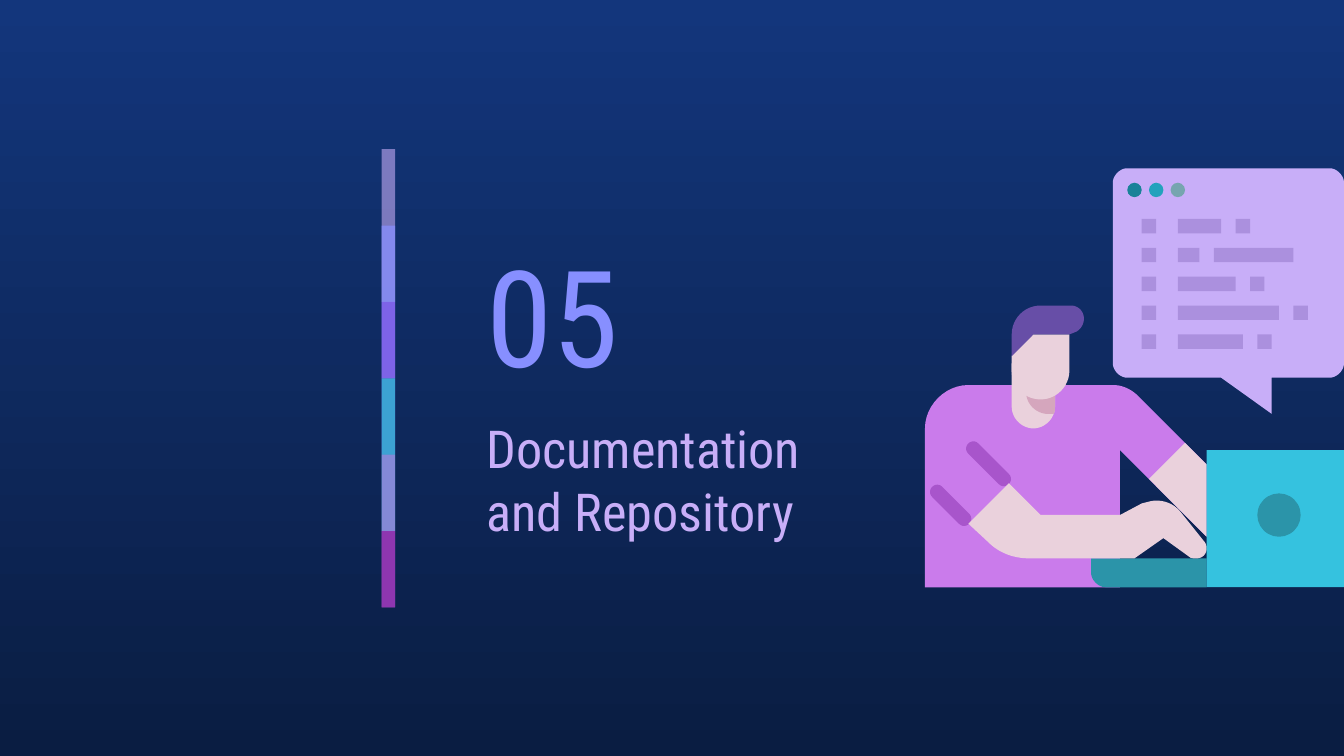
from dataclasses import dataclass

from lxml import etree
from pptx import Presentation, util as u
from pptx.dml.color import RGBColor
from pptx.enum import shapes, text
from pptx.oxml.ns import qn

W = 10
H = W * 9 / 16
CELL = 0.1075
LEFT, TOP = W - 29 * CELL, 4.37 - 29 * CELL
FONT = "Roboto Condensed"
C = {
    "sky": "13367C", "night": "0A1D42", "blue": "878FFF", "lilac": "C8AEF8",
    "shirt": "CA7BEB", "stripe": "A855CB", "screen": "35C2DF", "base": "2B94A9",
    "skin": "EAD1DC", "shade": "D5A6BD", "hair": "674EA7", "code": "AB90DE",
    "violet": "9154F8", "plum": "972CB4",
    "dot1": "198298", "dot2": "22A2BC", "dot3": "76A5AF",
}


@dataclass
class Outline:
    """A closed outline in cells: pairs are corners, sixes are Bézier curves."""
    color: str
    steps: list[tuple[float, ...]]


@dataclass
class Block:
    """A rectangle or oval in cells."""
    color: str
    x: float
    y: float
    w: float
    h: float
    kind: shapes.MSO_SHAPE = shapes.MSO_SHAPE.RECTANGLE


@dataclass
class Bar:
    """A translucent strip in the divider, covering a number of steps."""
    color: str
    opacity: int
    span: int = 2


def sleeve_stripe(x: float, y: float, run: float) -> Outline:
    """Return a diagonal round-ended stripe running down to the right."""
    a, c = 0.35, 0.47
    x2, y2 = x + run, y + run
    return Outline("stripe", [
        (x + a, y - a), (x2 + a, y2 - a),
        (x2 + a + c, y2 - a + c, x2 - a + c, y2 + a + c, x2 - a, y2 + a),
        (x - a, y + a),
        (x - a - c, y + a - c, x + a - c, y - a - c, x + a, y - a)])


FIGURE = [
    Outline("shirt", [(3, 15), (1.4, 15, 0, 16.4, 0, 18), (0, 29), (13.5, 29),
                      (13.5, 19.5), (19.5, 25.5), (19.5, 20.5), (14.8, 15.8),
                      (14.3, 15.3, 13.7, 15, 13, 15)]),
    sleeve_stripe(0.85, 22.4, 1.85),
    sleeve_stripe(3.35, 19.4, 2.1),
    Outline("base", [(11.5, 27), (11.5, 28), (11.5, 28.5, 12, 29, 12.5, 29),
                     (19.5, 29), (19.5, 27)]),
    Outline("skin", [(6, 13.5), (6, 16.5), (6, 17.3, 6.7, 18, 7.5, 18),
                     (8.3, 18, 9, 17.3, 9, 16.5), (9, 13.5)]),
    Outline("shade", [(7, 13.5), (7, 15.5), (7, 16.3, 7.7, 17, 8.5, 17),
                      (8.9, 17), (9, 16.9, 9, 16.7, 9, 16.5), (9, 13.5)]),
    Outline("skin", [(5.8, 21.8), (3, 24.6), (4.4, 25.9),
                     (5.1, 26.6, 6.1, 27, 7.2, 27), (14.5, 27), (16.5, 25.6),
                     (18.3, 26.9), (18.4, 27, 18.6, 27, 18.8, 27),
                     (19.2, 27, 19.5, 26.7, 19.5, 26.3),
                     (19.5, 26.1, 19.4, 25.9, 19.3, 25.8), (17.7, 23.8),
                     (17.3, 23.3, 16.7, 23, 16, 23),
                     (15.7, 23, 15.4, 23.1, 15, 23.2), (13.5, 24), (8, 24)]),
    Outline("skin", [(18, 19), (15.5, 21.5), (19.5, 25.5), (19.5, 20.5)]),
    Outline("lilac", [(14, 0), (13.5, 0, 13, 0.5, 13, 1), (13, 13.5),
                      (13, 14, 13.5, 14.5, 14, 14.5), (20.5, 14.5), (24, 17),
                      (24, 14.5), (28, 14.5), (28.5, 14.5, 29, 14, 29, 13.5),
                      (29, 1), (29, 0.5, 28.5, 0, 28, 0)]),
    Outline("skin", [(7.5, 11.5), (6, 13), (6, 14), (6, 15.1, 6.9, 16, 8, 16),
                     (9.1, 16, 10, 15.1, 10, 14), (10, 11.5)]),
    Outline("hair", [(8, 9.5), (6.9, 9.5, 6, 10.4, 6, 11.5), (6, 13),
                     (7.5, 11.5), (10, 11.5), (10.5, 11.3),
                     (10.8, 11.1, 11, 10.8, 11, 10.4),
                     (11, 9.9, 10.6, 9.5, 10.1, 9.5)]),
]
OVAL = shapes.MSO_SHAPE.OVAL
CODE_LINES = [[(2.5, 3), (6.5, 1)], [(2.5, 1.5), (5, 5.5)], [(2.5, 4), (7.5, 1)],
              [(2.5, 7), (10.5, 1)], [(2.5, 4.5), (8, 1)]]
BLOCKS = [Block("screen", 19.5, 19.5, 9.5, 9.5), Block("base", 23, 22.5, 3, 3, OVAL)]
BLOCKS += [Block("code", 15 + x, 3.5 + 2 * row, w, 1)
           for row, line in enumerate(CODE_LINES) for x, w in [(0, 1), *line]]
BLOCKS += [Block(f"dot{i + 1}", 14 + 1.5 * i, 1, 1, 1, OVAL) for i in range(3)]
BARS = [Bar("lilac", 59), Bar("blue", 74), Bar("violet", 53),
        Bar("screen", 76), Bar("shirt", 56), Bar("plum", 74, 1)]


def rgb(name: str) -> RGBColor:
    """Look up a palette colour."""
    return RGBColor.from_string(C[name])


def paint(sp, color: str) -> None:
    """Give a shape a flat fill with no line or shadow."""
    sp.fill.solid()
    sp.fill.fore_color.rgb = rgb(color)
    sp.line.fill.background()
    sp.shadow.inherit = False


def to_emu(x: float, y: float) -> tuple[int, int]:
    """Convert a grid position to slide units."""
    return u.Inches(LEFT + x * CELL), u.Inches(TOP + y * CELL)


def flatten(steps: list[tuple[float, ...]], n: int = 12) -> list[tuple[int, int]]:
    """Turn corners and curves into a list of points."""
    points = []
    for step in steps:
        if len(step) == 2:
            points.append(step)
            continue
        ctrl = [points[-1], step[:2], step[2:4], step[4:]]
        for t in (i / n for i in range(1, n + 1)):
            weights = ((1 - t) ** 3, 3 * t * (1 - t) ** 2, 3 * t * t * (1 - t), t ** 3)
            points.append(tuple(sum(k * q[axis] for k, q in zip(weights, ctrl))
                                for axis in (0, 1)))
    return [to_emu(*q) for q in points]


def draw_outline(group, o: Outline) -> None:
    """Draw one outline of the figure."""
    first, *rest = flatten(o.steps)
    builder = group.shapes.build_freeform(*first)
    builder.add_line_segments(rest, close=True)
    paint(builder.convert_to_shape(), o.color)


def draw_block(group, b: Block) -> None:
    """Draw one rectangle or oval."""
    sp = group.shapes.add_shape(b.kind, *to_emu(b.x, b.y),
                                u.Inches(b.w * CELL), u.Inches(b.h * CELL))
    paint(sp, b.color)


def draw_bar(group, i: int, b: Bar) -> None:
    """Draw one strip of the divider."""
    step = 3.41 / len(BARS)
    sp = group.shapes.add_shape(
        shapes.MSO_SHAPE.RECTANGLE, u.Inches(2.84), u.Inches(1.11 + i * step),
        u.Inches(W / 100), u.Inches(b.span * step))
    paint(sp, b.color)
    clr = sp.fill._xPr.find(qn("a:solidFill"))[0]
    etree.SubElement(clr, qn("a:alpha"), val=str(b.opacity * 1000))


def fill_placeholder(sp, words: str, box: tuple, size: int, color: str, anchor) -> None:
    """Move a placeholder, fill it and format its text."""
    sp.left, sp.top, sp.width, sp.height = (u.Inches(v) for v in box)
    tf = sp.text_frame
    tf.text = words
    tf.word_wrap = True
    tf.auto_size = text.MSO_AUTO_SIZE.NONE
    tf.vertical_anchor = anchor
    tf.margin_left = tf.margin_right = tf.margin_top = tf.margin_bottom = u.Inches(0.1)
    p = tf.paragraphs[0]
    p.alignment = text.PP_ALIGN.LEFT
    p.space_before = u.Pt(0)
    r = p.runs[0]
    r.font.name, r.font.size = FONT, u.Pt(size)
    r.font.color.rgb = rgb(color)


def main() -> None:
    """Build the section slide."""
    prs = Presentation()
    prs.slide_width, prs.slide_height = u.Inches(W), u.Inches(H)
    s = prs.slides.add_slide(prs.slide_layouts[0])
    bg = s.background.fill
    bg.gradient()
    bg.gradient_angle = 270
    for stop, name in zip(bg.gradient_stops, ("sky", "night")):
        stop.color.rgb = rgb(name)
    title, body = s.placeholders
    fill_placeholder(title, "05", (3.52, 1.66, 1.75, 1.35), 72, "blue",
                     text.MSO_ANCHOR.MIDDLE)
    fill_placeholder(body, "Documentation and Repository", (3.52, 3, 2.87, 0.96), 28,
                     "lilac", text.MSO_ANCHOR.TOP)
    figure = s.shapes.add_group_shape()
    for o in FIGURE:
        draw_outline(figure, o)
    for b in BLOCKS:
        draw_block(figure, b)
    divider = s.shapes.add_group_shape()
    for i, bar in enumerate(BARS):
        draw_bar(divider, i, bar)
    prs.save("out.pptx")


if __name__ == "__main__":
    main()
